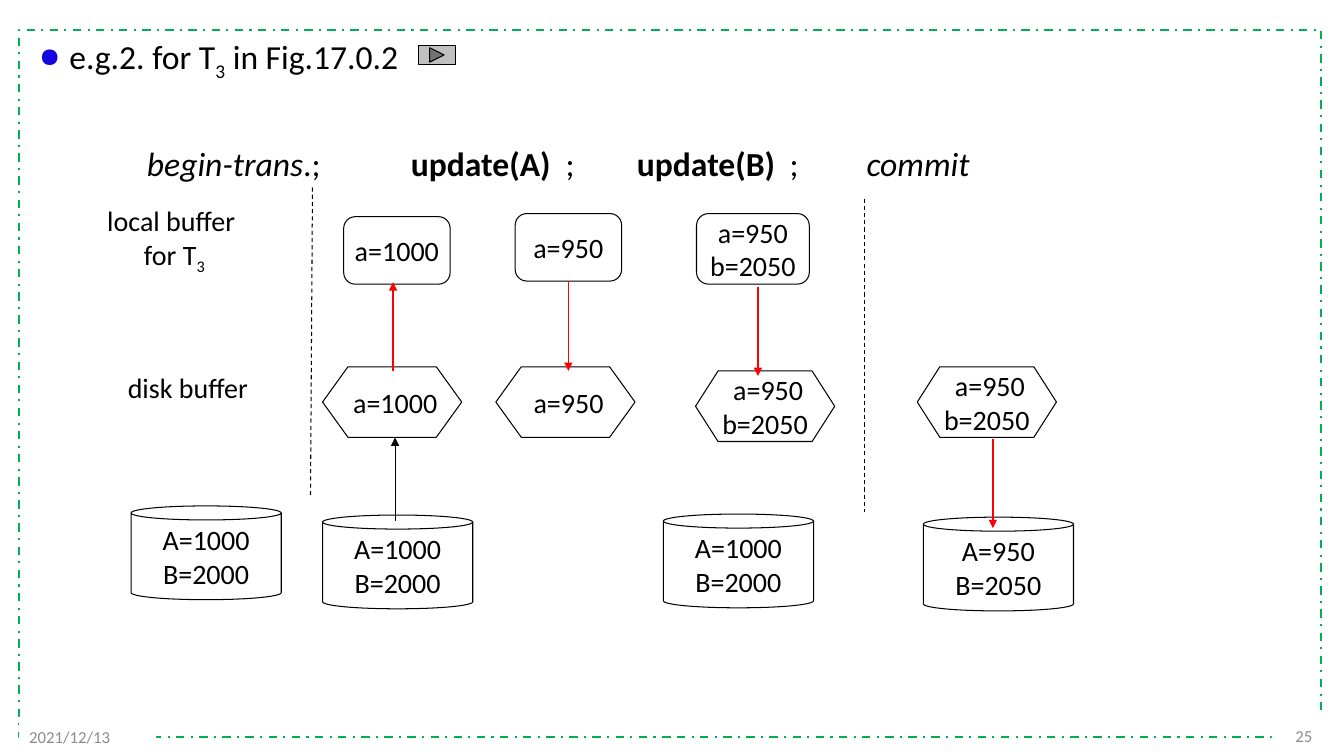
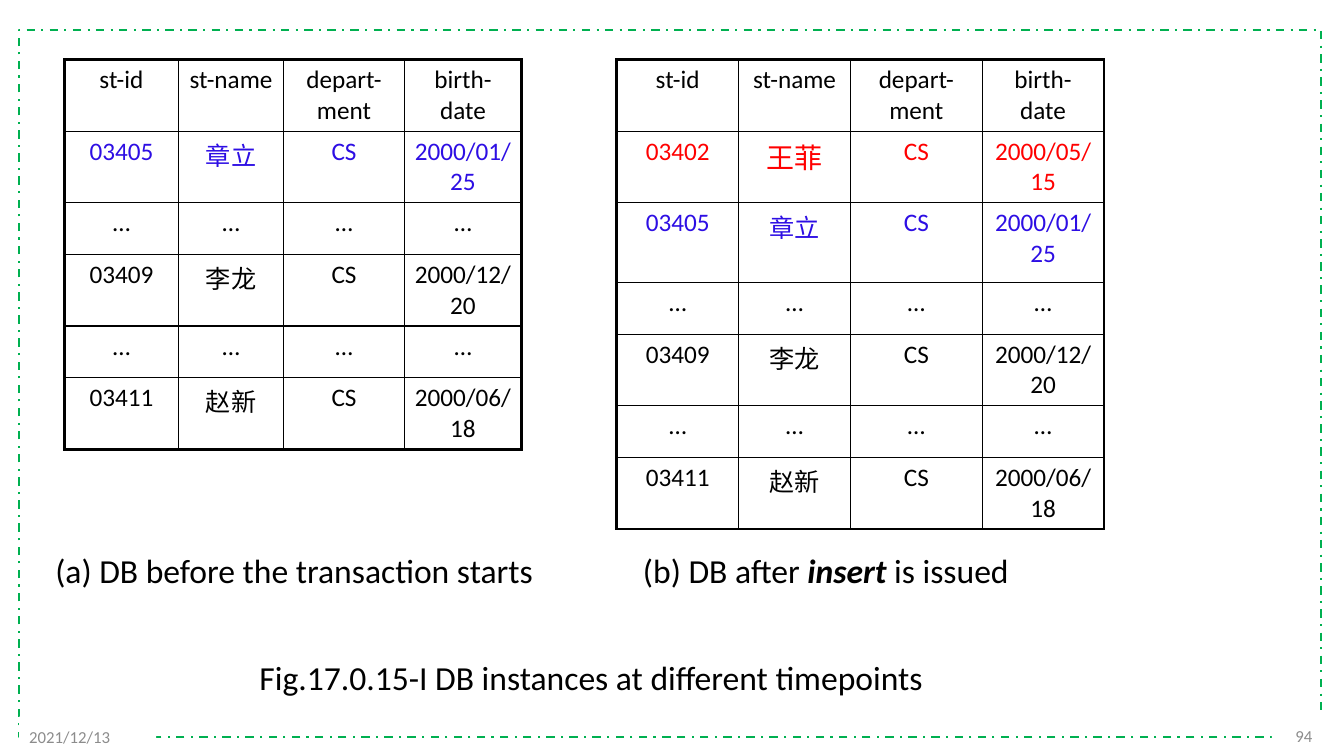
from lxml.etree import SubElement
from pptx import Presentation
from pptx.dml.color import RGBColor
from pptx.enum.dml import MSO_LINE
from pptx.enum.shapes import MSO_CONNECTOR, MSO_SHAPE
from pptx.enum.text import MSO_ANCHOR, PP_ALIGN
from pptx.oxml.ns import qn
from pptx.util import Pt

COLORS = {
    "black": "000000", "white": "FFFFFF", "frame": "00B050", "footer": "8C8C8C",
    "red": "FF0000", "blue": "2D0EE4", "bullet": "1404E0", "button": "C0C0C0",
}
FONT = "Calibri"
DATE = "2021/12/13"
SUBSCRIPT = {"baseline": "-25000"}
ITALIC = {"italic": True}
BOLD = {"bold": True}

HEADING = [("e.g.2. for T", {}), ("3", SUBSCRIPT), (" in Fig.17.0.2", {})]
STEPS = [
    ("begin-trans", ITALIC), (".;\t", {}), ("update(A)", BOLD), ("\t;\t", {}),
    ("update(B)", BOLD), ("\t;\t", {}), ("commit", ITALIC),
]
STEP_TABS = (188.5, 299, 350, 459, 514)
LEVEL_LABELS = [
    ((68.4, 141.8, 112.3, 55.4), PP_ALIGN.CENTER,
     [[("local buffer ", {})], [("for T", {}), ("3", SUBSCRIPT)]]),
    ((84.2, 261.4, 101.5, 31), PP_ALIGN.LEFT, [[("disk buffer", {})]]),
]
DISKS = [
    (93.6, 361.4, ["A=1000", "B=2000"]), (230.4, 367.9, ["A=1000", "B=2000"]),
    (473.8, 367.2, ["A=1000", "B=2000"]), (659.5, 369.4, ["A=950", "B=2050"]),
]
DISK_BUFFERS = [
    (230.4, 262, [" a=1000"]), (354.2, 262, [" a=950"]),
    (496.8, 265, [" a=950", "b=2050"]), (655.2, 262, [" a=950", "b=2050"]),
]
LOCAL_BUFFERS = [
    (245.5, 154.8, 76, 48.2, ["a=1000"]), (368, 152.6, 76, 48.2, ["a=950"]),
    (497.5, 152.6, 80.6, 50.4, ["a=950", "b=2050"]),
]
DIVIDERS = [(223.2, 133.9, 221.8, 354.2), (617.8, 141.8, 617.8, 365.8)]
ARROWS = [
    ((280.8, 265, 280.8, 201.6), "red", 1),
    ((541.4, 205.2, 541.4, 268.6), "red", 1),
    ((709.2, 313.9, 709.2, 377.3), "red", 1),
    ((282.2, 372.2, 282.2, 312.5), "black", 0.75),
]

HEADER = ("black", ["st-id", "st-name", "depart-ment", "birth-date"])
GAP = ("black", ["…"] * 4)
ZHANG = ("blue", ["03405", "章立", "CS", "2000/01/25"])
LI = ("black", ["03409", "李龙", "CS", "2000/12/20"])
ZHAO = ("black", ["03411", "赵新", "CS", "2000/06/18"])
WANG = ("red", ["03402", "王菲", "CS", "2000/05/15"])
LARGE_CELLS = {"王菲": 20}
TABLES = [
    {"left": 46, "columns": (81.5, 75, 86.5, 83.5),
     "heights": (50.4, 50.4, 36.9, 50.4, 36.9, 50.4),
     "rows": [HEADER, ZHANG, GAP, LI, GAP, ZHAO]},
    {"left": 440.6, "columns": (87, 80, 94, 87),
     "heights": (50.4, 50.4, 57, 36.9, 50.4, 36.9, 50.4),
     "rows": [HEADER, WANG, ZHANG, GAP, LI, GAP, ZHAO]},
]
TABLE_TOP = 42.5
CAPTIONS = [
    ((32.4, 389.5, 373, 36), PP_ALIGN.LEFT, MSO_ANCHOR.TOP,
     [("(a) DB before the transaction starts", {})]),
    ((452.2, 389.5, 335.5, 36), PP_ALIGN.LEFT, MSO_ANCHOR.TOP,
     [("(b) DB after ", {}), ("insert", {"bold": True, "italic": True}), (" is issued", {})]),
    ((161.3, 453.6, 522, 48.2), PP_ALIGN.CENTER, MSO_ANCHOR.BOTTOM,
     [("Fig.17.0.15-I DB instances at different timepoints", {})]),
]


def rgb(name):
    return RGBColor.from_string(COLORS[name])


def points(values):
    return [Pt(value) for value in values]


def write(text_frame, lines, size, color="black", align=PP_ALIGN.LEFT):
    for index, runs in enumerate(lines):
        paragraph = text_frame.add_paragraph() if index else text_frame.paragraphs[0]
        paragraph.alignment = align
        for text, extra in runs:
            run = paragraph.add_run()
            run.text = text
            run.font.color.rgb = rgb(color)
            formats = {"name": FONT, "size": Pt(size), **extra}
            baseline = formats.pop("baseline", None)
            for attribute, value in formats.items():
                setattr(run.font, attribute, value)
            if baseline:
                run._r.get_or_add_rPr().set("baseline", baseline)


def add_text(slide, box, lines, size, align=PP_ALIGN.LEFT, anchor=MSO_ANCHOR.TOP, wrap=True):
    shape = slide.shapes.add_textbox(*points(box))
    shape.text_frame.word_wrap = wrap
    shape.text_frame.vertical_anchor = anchor
    write(shape.text_frame, lines, size, align=align)
    return shape.text_frame.paragraphs[0]


def add_box(slide, kind, box, fill=None, line="black", width=0.75, adjustment=None):
    shape = slide.shapes.add_shape(kind, *points(box))
    shape.shadow.inherit = False
    if fill:
        shape.fill.solid()
        shape.fill.fore_color.rgb = rgb(fill)
    else:
        shape.fill.background()
    if line:
        shape.line.color.rgb = rgb(line)
        shape.line.width = Pt(width)
    else:
        shape.line.fill.background()
    if adjustment is not None:
        shape.adjustments[0] = adjustment
    return shape


def add_node(slide, kind, box, lines, adjustment):
    shape = add_box(slide, kind, box, adjustment=adjustment)
    shape.text_frame.word_wrap = False
    shape.text_frame.vertical_anchor = MSO_ANCHOR.MIDDLE
    write(shape.text_frame, [[(line, {})] for line in lines], 20, align=PP_ALIGN.CENTER)
    return shape


def add_line(slide, ends, color="black", width=0.75, dashed=False, arrow=False):
    connector = slide.shapes.add_connector(MSO_CONNECTOR.STRAIGHT, *points(ends))
    connector.line.color.rgb = rgb(color)
    connector.line.width = Pt(width)
    if dashed:
        connector.line.dash_style = MSO_LINE.DASH
    if arrow:
        SubElement(connector.line._get_or_add_ln(), qn("a:tailEnd"), type="triangle")
    SubElement(connector._element.spPr, qn("a:effectLst"))
    return connector


def add_frame(slide):
    frame = add_box(slide, MSO_SHAPE.RECTANGLE, (13.7, 21.6, 930.2, 504.7),
                    line="frame", width=1.5)
    frame.line.dash_style = MSO_LINE.DASH_DOT


def add_footer(slide, number):
    for box, text, align in (
        ((908.6, 511.2, 36, 28.8), number, PP_ALIGN.RIGHT),
        ((13.7, 511.9, 97.9, 28.8), DATE, PP_ALIGN.LEFT),
    ):
        shape = add_box(slide, MSO_SHAPE.RECTANGLE, box, fill="white", line=None)
        shape.text_frame.vertical_anchor = MSO_ANCHOR.MIDDLE
        write(shape.text_frame, [[(text, {})]], 12, "footer", align)


def add_bullet(paragraph):
    properties = paragraph._p.get_or_add_pPr()
    properties.set("marL", str(Pt(21.6)))
    properties.set("indent", str(Pt(-21.6)))
    color = SubElement(properties, qn("a:buClr"))
    SubElement(color, qn("a:srgbClr"), val=COLORS["bullet"])
    SubElement(properties, qn("a:buSzPct"), val="80000")
    SubElement(properties, qn("a:buChar"), char="●")


def add_tabs(paragraph, positions):
    tabs = SubElement(paragraph._p.get_or_add_pPr(), qn("a:tabLst"))
    for position in positions:
        SubElement(tabs, qn("a:tab"), pos=str(Pt(position)), algn="l")


def set_borders(cell, outer_sides):
    properties = cell._tc.get_or_add_tcPr()
    for side, outer in outer_sides.items():
        line = SubElement(properties, qn(f"a:ln{side}"), w=str(Pt(2.25 if outer else 1)))
        fill = SubElement(line, qn("a:solidFill"))
        SubElement(fill, qn("a:srgbClr"), val=COLORS["black"])


def add_student_table(slide, data):
    rows, columns, heights = data["rows"], data["columns"], data["heights"]
    box = (data["left"], TABLE_TOP, sum(columns), sum(heights))
    table = slide.shapes.add_table(len(rows), len(columns), *points(box)).table
    table.first_row = table.horz_banding = False
    for column, width in zip(table.columns, columns):
        column.width = Pt(width)
    for row_index, (color, texts) in enumerate(rows):
        table.rows[row_index].height = Pt(heights[row_index])
        for column_index, text in enumerate(texts):
            cell = table.cell(row_index, column_index)
            set_borders(cell, {
                "L": column_index == 0, "R": column_index == len(columns) - 1,
                "T": row_index == 0, "B": row_index == len(rows) - 1,
            })
            cell.fill.background()
            size = LARGE_CELLS.get(text, 18)
            write(cell.text_frame, [[(text, {})]], size, color, PP_ALIGN.CENTER)


def build_update_slide(slide):
    add_bullet(add_text(slide, (20.9, 22.3, 923, 504.7), [HEADING], 24))
    add_footer(slide, "25")
    add_tabs(add_text(slide, (97.9, 98.6, 626.4, 36), [STEPS], 24), STEP_TABS)
    for box, align, lines in LEVEL_LABELS:
        add_text(slide, box, lines, 20, align, wrap=False)
    for left, top, lines in DISKS:
        add_node(slide, MSO_SHAPE.CAN, (left, top, 107.3, 67), lines, 0.15)
    for left, top, lines in DISK_BUFFERS:
        adjustment = 0.36 if len(lines) == 1 else 0.32
        add_node(slide, MSO_SHAPE.HEXAGON, (left, top, 99.4, 50.4), lines, adjustment)
    local_buffers = [
        add_node(slide, MSO_SHAPE.ROUNDED_RECTANGLE, box, lines, 0.17)
        for *box, lines in LOCAL_BUFFERS
    ]
    for ends in DIVIDERS:
        add_line(slide, ends, dashed=True)
    for ends, color, width in ARROWS:
        add_line(slide, ends, color, width, arrow=True)
    write_arrow = add_line(slide, (406, 200.8, 406, 265), "red", 1, arrow=True)
    write_arrow.begin_connect(local_buffers[1], 2)
    add_box(slide, MSO_SHAPE.ACTION_BUTTON_FORWARD_OR_NEXT, (298.8, 32.4, 26.6, 13.7),
            fill="button")


def build_insert_slide(slide):
    add_footer(slide, "94")
    for data in TABLES:
        add_student_table(slide, data)
    for box, align, anchor, runs in CAPTIONS:
        add_text(slide, box, [runs], 24, align, anchor)


def main():
    presentation = Presentation()
    presentation.slide_width, presentation.slide_height = Pt(960), Pt(540)
    for build in (build_update_slide, build_insert_slide):
        slide = presentation.slides.add_slide(presentation.slide_layouts[6])
        add_frame(slide)
        build(slide)
    presentation.save("out.pptx")


if __name__ == "__main__":
    main()
